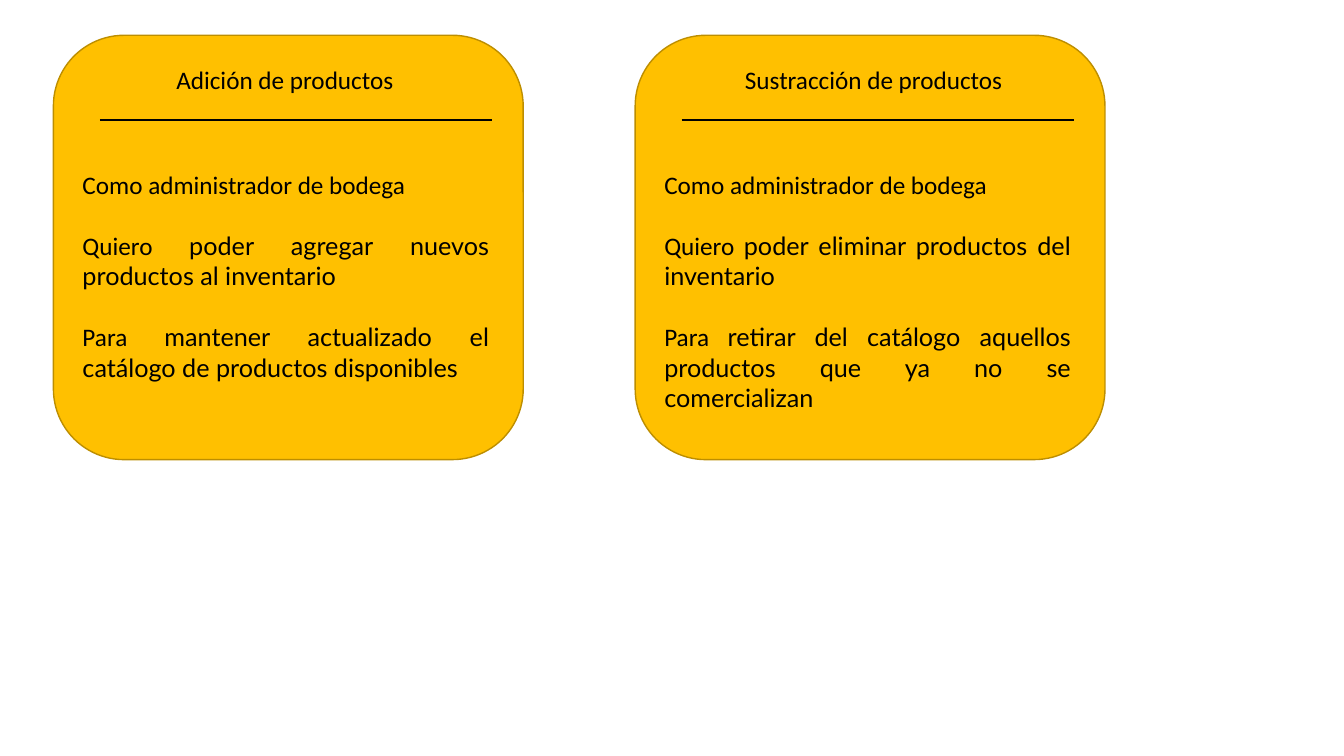
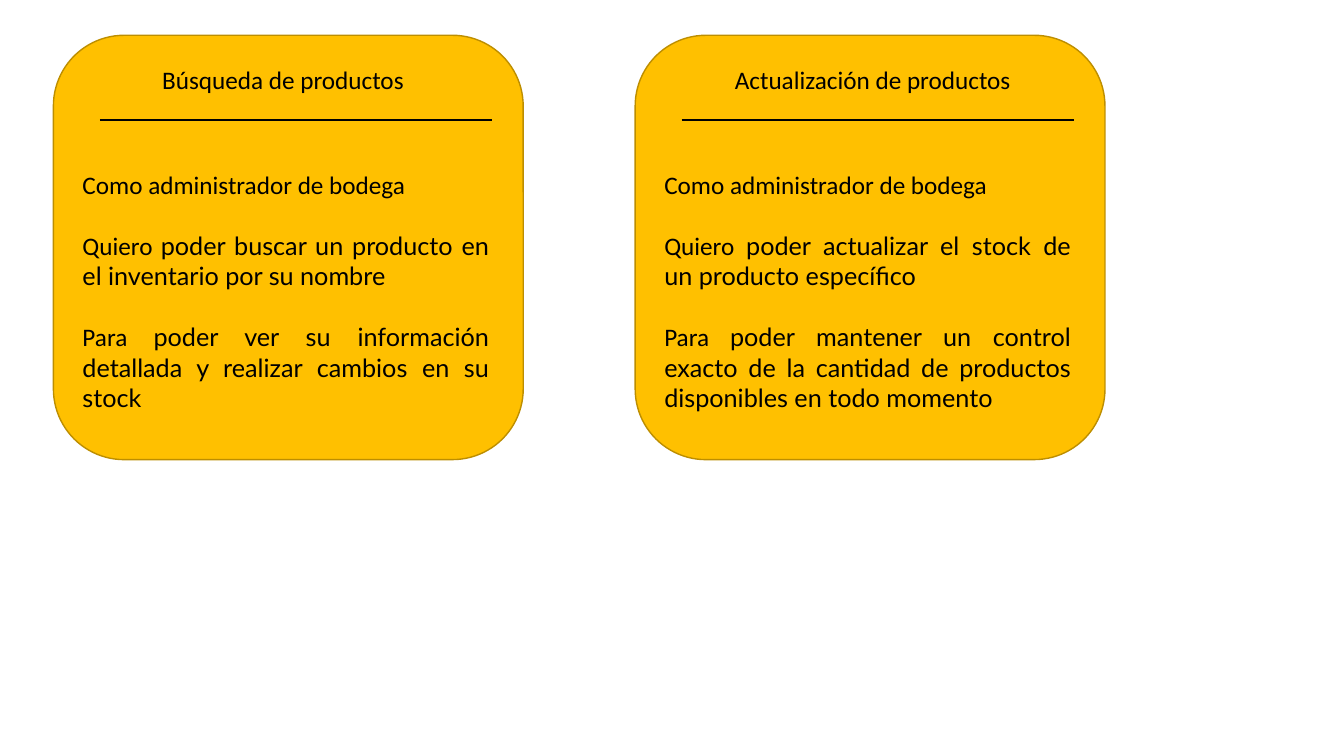
from lxml.etree import SubElement
from pptx import Presentation
from pptx.dml.color import RGBColor
from pptx.enum.shapes import MSO_CONNECTOR, MSO_SHAPE
from pptx.enum.text import MSO_AUTO_SIZE, PP_ALIGN
from pptx.oxml.ns import qn
from pptx.util import Inches, Pt


def tint(code):
    return RGBColor.from_string(code)


def apply(item, form):
    for name, value in form.items():
        setattr(item, name, value)


class Deck:
    gold, edge, ink = "FFC000", "BD8E00", "000000"
    plain, light = "Calibri", "Lato"
    size = Pt(18)
    frame = {"word_wrap": True, "auto_size": MSO_AUTO_SIZE.SHAPE_TO_FIT_TEXT}
    head = {"alignment": PP_ALIGN.LEFT}
    body = {"alignment": PP_ALIGN.JUSTIFY}
    # One line of space between the parts of a story
    later = {**body, "space_before": Pt(22)}

    def __init__(self):
        self.show = Presentation()
        apply(self.show, {"slide_width": Inches(13.33),
                          "slide_height": Inches(7.5)})

    def page(self):
        self.slide = self.show.slides.add_slide(self.show.slide_layouts[6])

    def group(self):
        self.items = self.slide.shapes.add_group_shape().shapes

    def stroke(self, line, color, width):
        line.color.rgb = tint(color)
        line.width = Pt(width)

    def panel(self, *box):
        shape = self.items.add_shape(MSO_SHAPE.ROUNDED_RECTANGLE,
                                     *map(Inches, box))
        shape.shadow.inherit = False
        shape.fill.solid()
        shape.fill.fore_color.rgb = tint(self.gold)
        self.stroke(shape.line, self.edge, 1)

    def rule(self, left, top, width):
        line = self.items.add_connector(
            MSO_CONNECTOR.STRAIGHT,
            *map(Inches, (left, top, left + width, top)))
        self.stroke(line.line, self.ink, 1.5)
        SubElement(line._element.spPr, qn("a:effectLst"))

    def text(self, box, paras):
        frame = self.items.add_textbox(*map(Inches, box)).text_frame
        apply(frame, self.frame)
        for i, (form, runs) in enumerate(paras):
            para = frame.add_paragraph() if i else frame.paragraphs[0]
            apply(para, form)
            for words, font in runs:
                run = para.add_run()
                run.text = words
                apply(run.font, {"name": font, "size": self.size})
                run.font.color.rgb = tint(self.ink)

    def card(self, left, title, start, width, want, goal, height=2.22):
        self.group()
        self.panel(left, 0.35, 4.66, 4.21)
        self.text((start, 0.59, width, 0.4),
                  [(self.head, [(title, self.plain)])])
        self.rule(left + 0.46, 1.19, 3.89)
        self.text((left + 0.19, 1.63, 4.23, height), [
            (self.body, [("Como administrador de bodega", self.plain)]),
            (self.later, [("Quiero ", self.plain), (want, self.light)]),
            (self.later, [("Para ", self.plain), (goal, self.light)])])


# Stories: title, title left and width, wish, purpose, text height
stories = [
    [("Adición de productos", 1.65, 2.38,
      "poder agregar nuevos productos al inventario",
      "mantener actualizado el catálogo de productos disponibles"),
     ("Sustracción de productos", 7.29, 2.83,
      "poder eliminar productos del inventario",
      "retirar del catálogo aquellos productos que ya no se comercializan")],
    [("Búsqueda de productos", 1.51, 2.65,
      "poder buscar un producto en el inventario por su nombre",
      "poder ver su información detallada y realizar cambios en su stock"),
     ("Actualización de productos", 7.19, 3.02,
      "poder actualizar el stock de un producto específico",
      "poder mantener un control exacto de la cantidad de productos "
      "disponibles en todo momento", 2.52)],
]

# Slides: two cards side by side
deck = Deck()
for pair in stories:
    deck.page()
    for left, story in zip((0.53, 6.3), pair):
        deck.card(left, *story)

deck.show.save("out.pptx")
